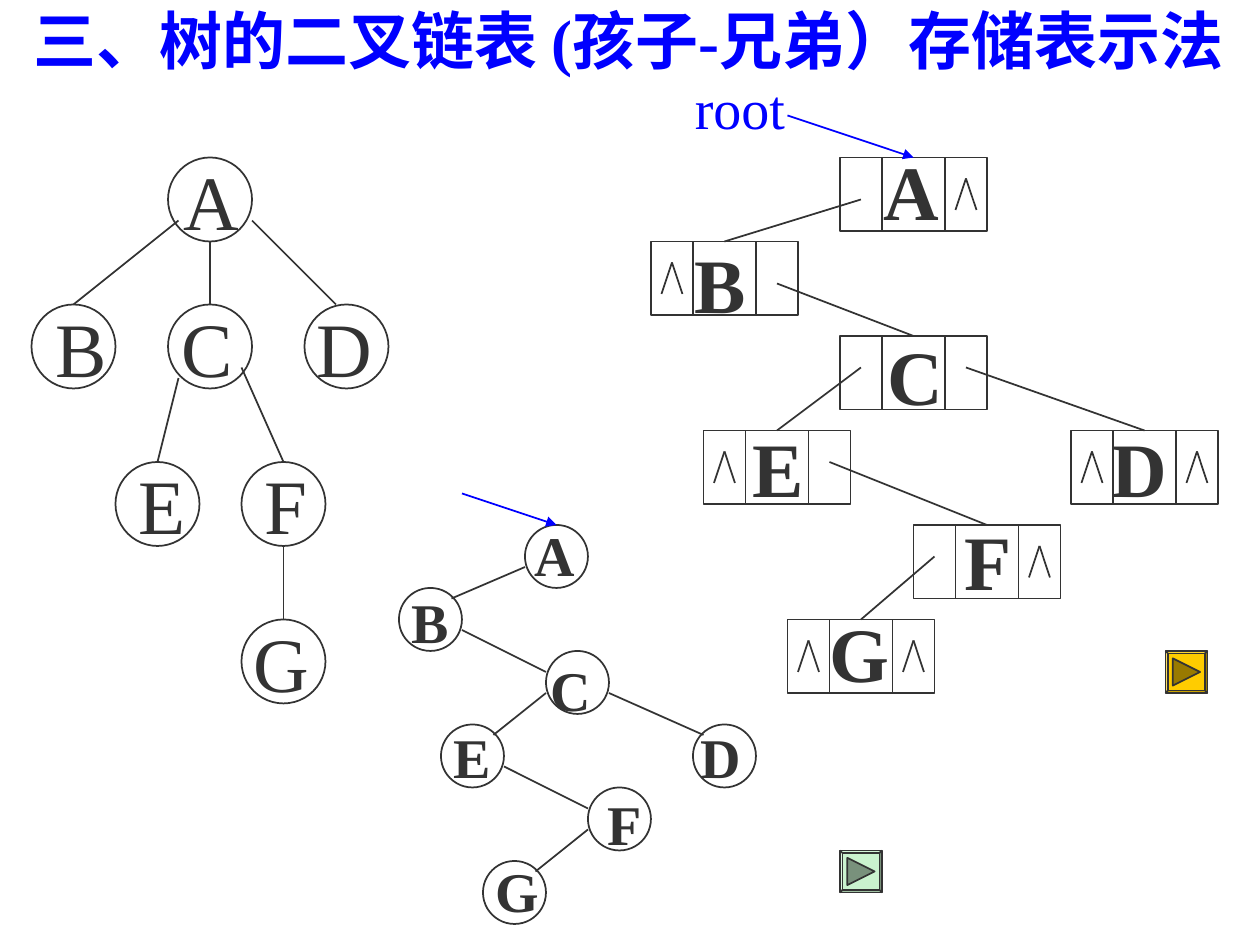
import dataclasses
import typing

import lxml.etree
import pptx
import pptx.dml.color
import pptx.enum.shapes
import pptx.enum.text
import pptx.oxml.ns
import pptx.util

SCALE = 7620  # EMU in one px, 120 px to the inch
INK, BLUE = "333333", "0000FF"
FACE = "Times New Roman"
KIND = pptx.enum.shapes.MSO_SHAPE
FIT = pptx.enum.text.MSO_AUTO_SIZE.SHAPE_TO_FIT_TEXT
qn = pptx.oxml.ns.qn


class Ring(typing.NamedTuple):
    x: int
    y: int
    size: int


class Mark(typing.NamedTuple):
    """A letter beside a ring: offset from the ring's left, and box width."""
    word: str
    ring: Ring
    dx: int
    wide: int


@dataclasses.dataclass
class Cell:
    """A list node; nil names the sides (L, R) that hold an empty link."""
    x: int
    y: int
    nil: str = ""
    drop: int = 30


class Edge(typing.NamedTuple):
    x1: int
    y1: int
    x2: int
    y2: int


class Row(typing.NamedTuple):
    """One line of letters and the tab stop of each."""
    text: str
    stops: tuple = ()


class Button(typing.NamedTuple):
    x: int
    y: int
    fill: str
    dark: str


def px(n: int) -> int:
    return pptx.util.Emu(n * SCALE)


def tint(code: str):
    return pptx.dml.color.RGBColor.from_string(code)


def style(line, code: str) -> None:
    line.color.rgb = tint(code)
    line.width = pptx.util.Pt(1)


def paint(item, fill: str = "") -> None:
    item.shadow.inherit = False
    if fill:
        item.fill.solid()
        item.fill.fore_color.rgb = tint(fill)
    else:
        item.fill.background()
    style(item.line, INK)


def shape(page, kind, x: int, y: int, w: int, h: int, fill: str = ""):
    item = page.shapes.add_shape(kind, px(x), px(y), px(w), px(h))
    paint(item, fill)
    return item


def press(page, key: Button) -> None:
    """Draw a bevelled button with a forward triangle."""
    x, y = key.x, key.y
    shape(page, KIND.BEVEL, x, y, 40, 40, key.fill).adjustments[0] = 0.06
    path = page.shapes.build_freeform(x + 7, y + 7, scale=SCALE)
    path.add_line_segments([(x + 33, y + 20), (x + 7, y + 33)], close=True)
    paint(path.convert_to_shape(), key.dark)


def line(page, edge: Edge, code: str = INK, head: bool = False, goal=None) -> None:
    """Draw an edge; goal is a rectangle whose top middle it joins."""
    kind = pptx.enum.shapes.MSO_CONNECTOR.STRAIGHT
    item = page.shapes.add_connector(kind, *map(px, edge))
    style(item.line, code)
    prop = item._element.spPr
    if head:
        ln = prop.find(qn("a:ln"))
        lxml.etree.SubElement(ln, qn("a:tailEnd"), type="triangle")
    lxml.etree.SubElement(prop, qn("a:effectLst"))
    if goal is not None:
        item.end_connect(goal, 0)


def write(page, rows: list[Row], area: tuple, size: int, code: str = INK,
          bold: bool = False, wrap: bool = True) -> None:
    frame = page.shapes.add_textbox(*map(px, area)).text_frame
    frame.word_wrap = wrap
    frame.auto_size = FIT
    look = {"name": FACE, "size": pptx.util.Pt(size), "bold": bold}
    for i, row in enumerate(rows):
        para = frame.add_paragraph() if i else frame.paragraphs[0]
        if row.stops:
            tabs = lxml.etree.SubElement(para._p.get_or_add_pPr(), qn("a:tabLst"))
            for stop in row.stops:
                lxml.etree.SubElement(tabs, qn("a:tab"), pos=str(px(stop)), algn="l")
        run = para.add_run()
        run.text = row.text
        for key, value in look.items():
            setattr(run.font, key, value)
        run.font.color.rgb = tint(code)


def node(page, cell: Cell):
    x, y = cell.x, cell.y
    box = shape(page, KIND.RECTANGLE, x, y, 140, 70)
    for dx in (40, 100):
        line(page, Edge(x + dx, y, x + dx, y + 70))
    for side in cell.nil:
        mid = x + PORT[side]
        for end in (mid - 10, mid + 10):
            line(page, Edge(mid, y + 20, end, y + 50))
    return box


PORT = {"L": 20, "R": 120}

TREE = [
    Mark("A", Ring(160, 150, 80), 3, 77), Mark("B", Ring(30, 290, 80), 11, 73),
    Mark("C", Ring(160, 290, 80), 1, 73), Mark("D", Ring(290, 290, 80), 0, 77),
    Mark("E", Ring(110, 440, 80), 10, 68), Mark("F", Ring(230, 440, 80), 10, 65),
    Mark("G", Ring(230, 590, 80), 0, 77),
]
BINARY = [Ring(x, y, 60) for x, y in (
    (500, 500), (380, 560), (520, 620), (420, 690), (660, 690), (560, 750), (460, 820))]
EDGES = [
    Edge(240, 210, 320, 290), Edge(170, 210, 70, 290), Edge(170, 360, 150, 440),
    Edge(200, 230, 200, 290), Edge(230, 350, 270, 440), Edge(270, 520, 270, 590),
    Edge(440, 600, 520, 640), Edge(580, 660, 670, 700), Edge(480, 730, 560, 770),
    Edge(520, 660, 470, 700), Edge(500, 540, 430, 570), Edge(560, 790, 510, 830),
]
CELLS = {
    "A": Cell(800, 150, "R", 40), "B": Cell(620, 230, "L", 40),
    "C": Cell(800, 320), "E": Cell(670, 410, "L"), "D": Cell(1020, 410, "LR"),
    "F": Cell(870, 500, "R"), "G": Cell(750, 590, "LR"),
}
LINKS = ["ALB", "BRC", "CLE", "CRD", "ERF", "FLG"]  # parent, side, child
LARGE = [Row("\tA", (180,)), Row("B"), Row("\tC", (183,)),
         Row("\tE\tD", (55, 397)), Row("\tF", (257,)), Row("\tG", (128,))]
SMALL = [Row("\tA", (117,)), Row("B"), Row("\tC", (133,)),
         Row("\tE\tD", (40, 275)), Row("\tF", (187,)), Row("\tG", (80,))]
KEYS = [Button(1110, 620, "FFCC00", "997A00"), Button(800, 810, "CAF2CE", "79917C")]
TITLE = "三、树的二叉链表 (孩子-兄弟）存储表示法"


def main() -> None:
    deck = pptx.Presentation()
    deck.slide_width, deck.slide_height = px(1200), px(900)
    page = deck.slides.add_slide(deck.slide_layouts[6])

    for ring in [mark.ring for mark in TREE] + BINARY:
        shape(page, KIND.OVAL, ring.x, ring.y, ring.size, ring.size)
    for mark in TREE:
        area = (mark.ring.x + mark.dx, mark.ring.y - 10, mark.wide, 101)
        write(page, [Row(mark.word)], area, 44, wrap=False)
    for edge in EDGES:
        line(page, edge)

    write(page, LARGE, (650, 131, 530, 540), 44, bold=True)
    boxes = {name: node(page, cell) for name, cell in CELLS.items()}
    for top, side, low in LINKS:
        one, two = CELLS[top], CELLS[low]
        edge = Edge(one.x + PORT[side], one.y + one.drop, two.x + 70, two.y)
        line(page, edge, goal=boxes[low])

    line(page, Edge(750, 110, 870, 150), BLUE, head=True, goal=boxes["A"])
    line(page, Edge(440, 470, 530, 500), BLUE, head=True)
    write(page, [Row("root")], (650, 64, 120, 77), 32, BLUE)
    write(page, SMALL, (380, 490, 350, 396), 32, bold=True)
    write(page, [Row(TITLE)], (20, -4, 1180, 156), 36, BLUE, bold=True)

    for key in KEYS:
        press(page, key)
    deck.save("out.pptx")


if __name__ == "__main__":
    main()
